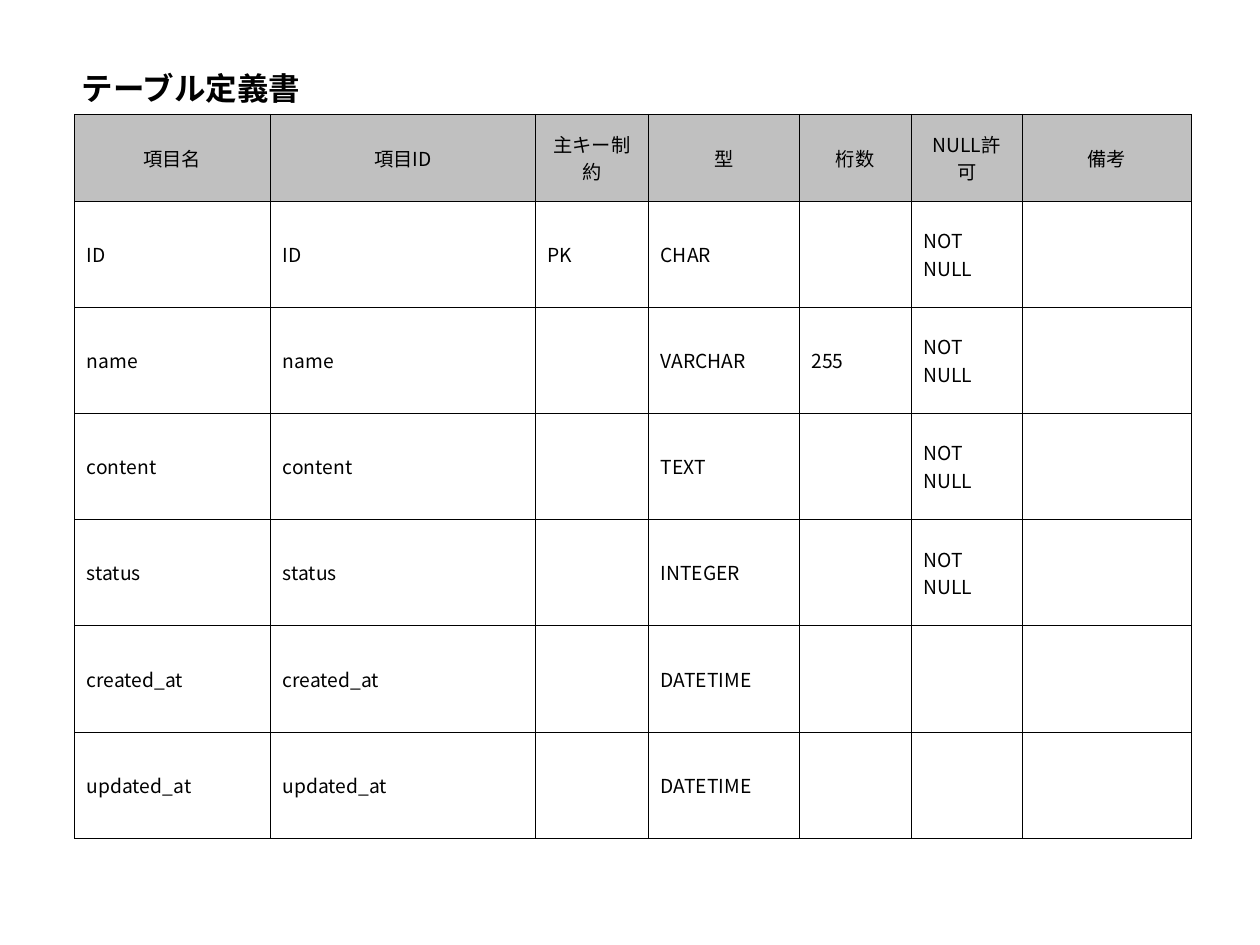
from lxml.etree import SubElement as Sub
from pptx import Presentation
from pptx.dml.color import RGBColor
from pptx.enum.text import MSO_ANCHOR as Anchor, MSO_AUTO_SIZE as Auto, PP_ALIGN as Align
from pptx.oxml.ns import qn
from pptx.util import Cm, Pt

FACE = "Noto Sans CJK JP"
BLACK, GREY = "000000", "C0C0C0"
TITLE = "テーブル定義書"
WIDTHS = (3.95, 5.34, 2.28, 3.04, 2.26, 2.24, 3.41)
HEAD, BODY = 1.75, 2.14
ROWS = (
    ("項目名", "項目ID", "主キー制約", "型", "桁数", "NULL許可", "備考"),
    ("ID", "ID", "PK", "CHAR", "", "NOT NULL", ""),
    ("name", "name", "", "VARCHAR", "255", "NOT NULL", ""),
    ("content", "content", "", "TEXT", "", "NOT NULL", ""),
    ("status", "status", "", "INTEGER", "", "NOT NULL", ""),
    ("created_at", "created_at", "", "DATETIME", "", "", ""),
    ("updated_at", "updated_at", "", "DATETIME", "", "", ""),
)


def tint(color, code):
    """Set a colour from a hex string."""
    color.rgb = RGBColor.from_string(code)


def apply(item, form):
    """Set each attribute named in a dict of format values."""
    for key, value in form.items():
        setattr(item, key, value)


def write(para, text, form):
    """Add one run in the slide's typeface."""
    run = para.add_run()
    run.text = text
    apply(run.font, {"name": FACE, **form})
    tint(run.font.color, BLACK)
    Sub(run.font._element, qn("a:ea"), typeface=FACE)


def border(cell):
    """Draw a thin line on all four sides of a cell."""
    props = cell._tc.get_or_add_tcPr()
    for side in "LRTB":
        line = Sub(props, qn(f"a:ln{side}"), w=str(Pt(0.23)))
        fill = Sub(line, qn("a:solidFill"))
        Sub(fill, qn("a:srgbClr"), val=BLACK)


def fill_cell(cell, text, head):
    """Format a header or body cell and write its text."""
    border(cell)
    apply(cell, {"vertical_anchor": Anchor.MIDDLE,
                 "margin_left": Cm(0.25), "margin_right": Cm(0.25),
                 "margin_top": Cm(0.13), "margin_bottom": Cm(0.13)})
    if head:
        cell.fill.solid()
        tint(cell.fill.fore_color, GREY)
    else:
        cell.fill.background()
    if text:
        para = cell.text_frame.paragraphs[0]
        apply(para, {"alignment": Align.CENTER if head else Align.LEFT,
                     "space_before": Pt(2.8)})
        write(para, text, {"size": Pt(11)})


def add_title(slide, left, top, width, height):
    """Place the bold heading in its box."""
    box = slide.shapes.add_textbox(Cm(left), Cm(top), Cm(width), Cm(height))
    apply(box.text_frame, {"word_wrap": False, "auto_size": Auto.SHAPE_TO_FIT_TEXT})
    write(box.text_frame.paragraphs[0], TITLE, {"size": Pt(18), "bold": True})


def add_grid(slide, left, top, width, height):
    """Place the table of column definitions in its box."""
    frame = slide.shapes.add_table(len(ROWS), len(WIDTHS),
                                   Cm(left), Cm(top), Cm(width), Cm(height))
    table = frame.table
    apply(table, {"first_row": False, "horz_banding": False})
    for col, size in zip(table.columns, WIDTHS):
        col.width = Cm(size)
    for i, (row, texts) in enumerate(zip(table.rows, ROWS)):
        row.height = Cm(BODY if i else HEAD)
        for cell, text in zip(row.cells, texts):
            fill_cell(cell, text, i == 0)


def main():
    """Build the slide and save it."""
    deck = Presentation()
    apply(deck, {"slide_width": Cm(25.4), "slide_height": Cm(19.05)})
    slide = deck.slides.add_slide(deck.slide_layouts[6])
    add_grid(slide, 1.5, 2.3, sum(WIDTHS), HEAD + BODY * (len(ROWS) - 1))
    add_title(slide, 1.4, 1.27, 4.95, 1.02)
    deck.save("out.pptx")


if __name__ == "__main__":
    main()
